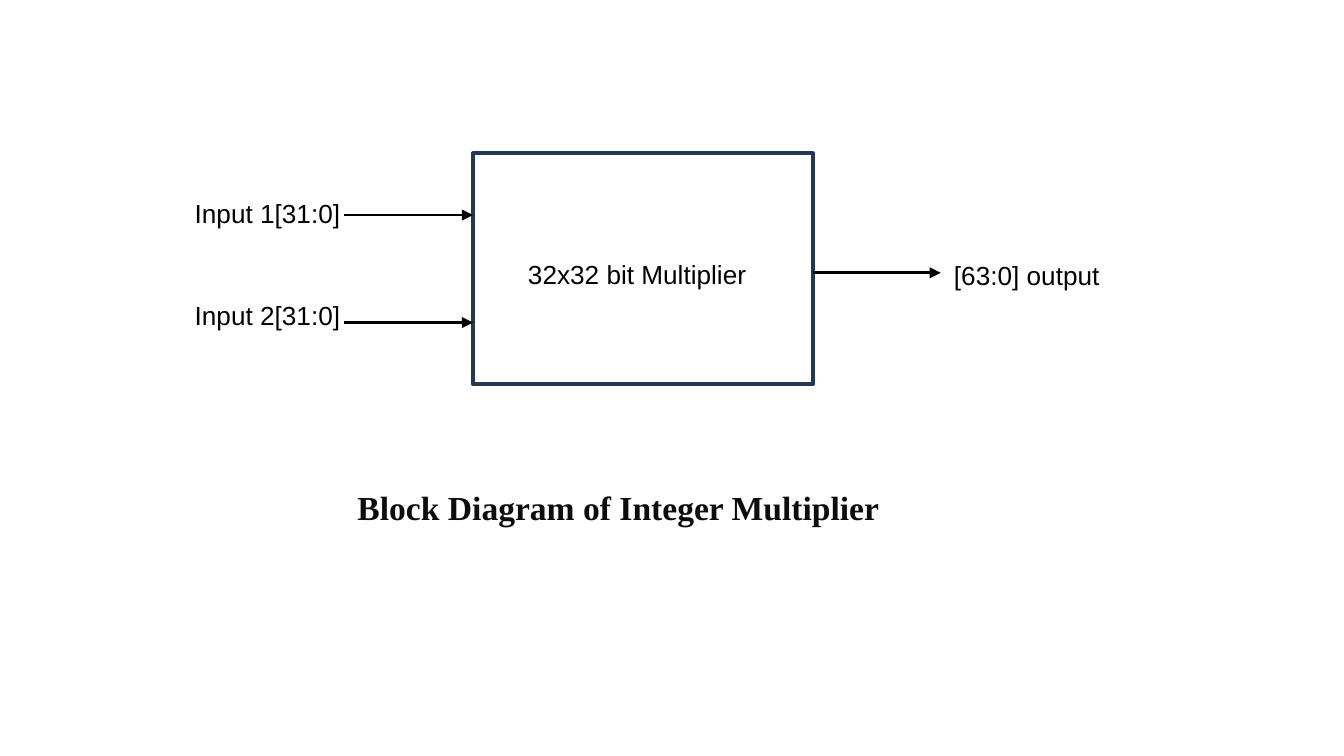
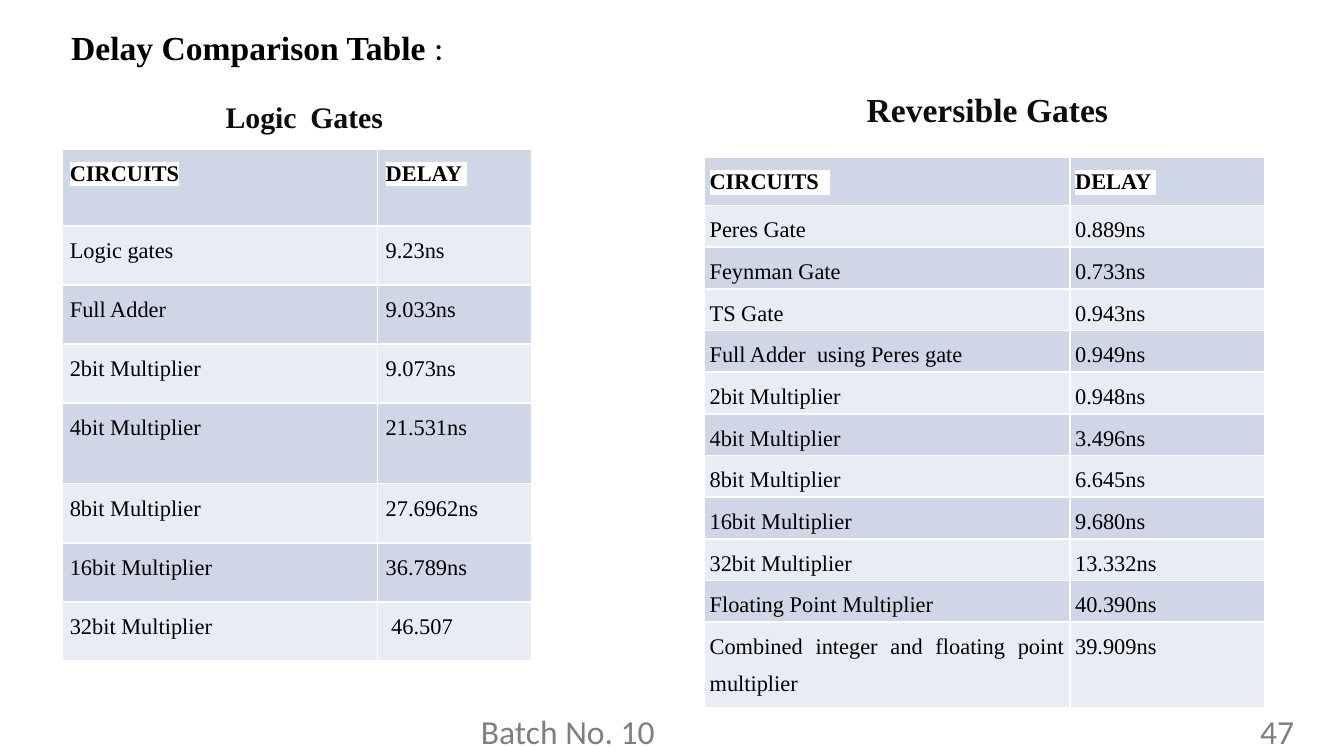
from pptx import Presentation
from pptx.dml.color import RGBColor
from pptx.enum.shapes import MSO_CONNECTOR, MSO_SHAPE
from pptx.enum.text import MSO_ANCHOR as Anchor, MSO_AUTO_SIZE as AutoSize, PP_ALIGN as Align
from pptx.oxml.ns import qn
from pptx.util import Emu, Inches, Pt
from lxml.etree import Element, SubElement

COLORS = {
    "black": "000000", "heading": "0D0D0D", "footer": "7F7F7F", "white": "FFFFFF",
    "block": "233953", "dark_band": "CFD7E7", "light_band": "E8ECF4",
}
SERIF = "Times New Roman"
TITLE_ONLY = 5
HEADING = dict(size=18, font=SERIF, color="heading", bold=True)
CELL = dict(size=12, font=SERIF, align=Align.JUSTIFY, line_spacing=1.5)

# Boxes are left, top, width, height in px, 100 px to the inch.
BLOCK = (352, 114, 253, 172)
ARROWS = [(256, 160, 352, 160), (256, 240, 352, 240), (605, 203, 700, 203)]
LABELS = [
    ("Input 1[31:0]", (135, 142, 159, 34)),
    ("Input 2[31:0]", (135, 218, 159, 34)),
    ("32x32 bit Multiplier", (383, 187, 191, 34)),
    ("[63:0] output", (700, 188, 176, 34)),
]
DIAGRAM_TITLE = ("Block Diagram of Integer Multiplier", (256, 357, 584, 64))

COMPARISON_TITLE = [("Delay Comparison Table ", {}), (":", dict(font="Calibri", bold=False))]
LOGIC_TABLE = dict(
    origin=(46, 111), columns=(235, 115), rows=[57, 44, 44, 44, 60, 44, 44, 44], inset=6,
    content=[
        ("CIRCUITS", "DELAY "),
        ("Logic gates", "9.23ns"),
        ("Full Adder", "9.033ns"),
        ("2bit Multiplier", "9.073ns"),
        ("4bit Multiplier", "21.531ns"),
        ("8bit Multiplier", "27.6962ns"),
        ("16bit Multiplier", "36.789ns"),
        ("32bit Multiplier", " 46.507"),
    ],
)
REVERSIBLE_TABLE = dict(
    origin=(524, 117), columns=(272, 145), rows=[36] + [31] * 10 + [64], inset=4,
    content=[
        ("CIRCUITS  ", "DELAY "),
        ("Peres Gate", "0.889ns"),
        ("Feynman Gate", "0.733ns"),
        ("TS Gate", "0.943ns"),
        ("Full Adder  using Peres gate", "0.949ns"),
        ("2bit Multiplier", "0.948ns"),
        ("4bit Multiplier", "3.496ns"),
        ("8bit Multiplier", "6.645ns"),
        ("16bit Multiplier", "9.680ns"),
        ("32bit Multiplier", "13.332ns"),
        ("Floating Point Multiplier", "40.390ns"),
        ("Combined integer and floating point multiplier", "39.909ns"),
    ],
)
FOOTER = ("\tBatch No. 10\t47", (269, 524, 718, 38))
FOOTER_TABS = [(79, "l"), (684, "r")]


def px(length):
    return Emu(length * 9144)


def rgb(name):
    return RGBColor.from_string(COLORS[name])


def format_run(run, size=14, font="Arial", color="black", bold=False, highlight=None):
    run.font.size, run.font.name, run.font.bold = Pt(size), font, bold
    run.font.color.rgb = rgb(color)
    if highlight:
        mark = Element(qn("a:highlight"))
        SubElement(mark, qn("a:srgbClr"), val=COLORS[highlight])
        run.font._element.find(qn("a:solidFill")).addnext(mark)


def write_text(frame, text, align=Align.LEFT, line_spacing=1.0, tabs=(), **style):
    """Fill the frame with a string, or with (string, style overrides) runs."""
    paragraph = frame.paragraphs[0]
    paragraph.alignment, paragraph.line_spacing = align, line_spacing
    if tabs:
        tab_list = SubElement(paragraph._p.get_or_add_pPr(), qn("a:tabLst"))
        for position, side in tabs:
            SubElement(tab_list, qn("a:tab"), pos=str(px(position)), algn=side)
    for words, overrides in [(text, {})] if isinstance(text, str) else text:
        run = paragraph.add_run()
        run.text = words
        format_run(run, **{**style, **overrides})


def set_frame(frame, insets=(10, 5), anchor=Anchor.TOP):
    frame.word_wrap, frame.auto_size = True, AutoSize.SHAPE_TO_FIT_TEXT
    frame.vertical_anchor = anchor
    frame.margin_left = frame.margin_right = px(insets[0])
    frame.margin_top = frame.margin_bottom = px(insets[1])


def add_text(slide, text, box, insets=(10, 5), anchor=Anchor.TOP, **style):
    frame = slide.shapes.add_textbox(*map(px, box)).text_frame
    set_frame(frame, insets, anchor)
    write_text(frame, text, **style)


def set_title(slide, text, box, insets=(10, 5), **style):
    title = slide.shapes.title
    title.left, title.top, title.width, title.height = map(px, box)
    set_frame(title.text_frame, insets)
    write_text(title.text_frame, text, **style)


def add_arrow(slide, ends):
    arrow = slide.shapes.add_connector(MSO_CONNECTOR.STRAIGHT, *map(px, ends))
    arrow.line.color.rgb, arrow.line.width = rgb("black"), Pt(1.5)
    SubElement(arrow.line._get_or_add_ln(), qn("a:tailEnd"), type="triangle")
    SubElement(arrow._element.spPr, qn("a:effectLst"))


def set_borders(cell):
    properties = cell._tc.get_or_add_tcPr()
    for index, side in enumerate("LRTB"):
        border = Element(qn(f"a:ln{side}"), w=str(Pt(1)))
        fill = SubElement(border, qn("a:solidFill"))
        SubElement(fill, qn("a:srgbClr"), val=COLORS["white"])
        properties.insert(index, border)


def add_delay_table(slide, origin, columns, rows, inset, content):
    size = (sum(columns), sum(rows))
    table = slide.shapes.add_table(len(rows), len(columns), *map(px, origin + size)).table
    for column, width in zip(table.columns, columns):
        column.width = px(width)
    for row_index, (row, height, texts) in enumerate(zip(table.rows, rows, content)):
        row.height = px(height)
        header = row_index == 0
        for cell, text in zip(row.cells, texts):
            cell.margin_left = cell.margin_right = px(inset)
            cell.margin_top = cell.margin_bottom = 0
            cell.fill.solid()
            cell.fill.fore_color.rgb = rgb("light_band" if row_index % 2 else "dark_band")
            set_borders(cell)
            write_text(cell.text_frame, text, bold=header,
                       highlight="white" if header else None, **CELL)


def build_diagram_slide(slide):
    block = slide.shapes.add_shape(MSO_SHAPE.RECTANGLE, *map(px, BLOCK))
    block.shadow.inherit = False
    block.fill.background()
    block.line.color.rgb, block.line.width = rgb("block"), Pt(2)
    for ends in ARROWS:
        add_arrow(slide, ends)
    for text, box in LABELS:
        add_text(slide, text, box)
    set_title(slide, *DIAGRAM_TITLE, highlight="white", **HEADING)


def build_comparison_slide(slide):
    set_title(slide, COMPARISON_TITLE, (53, 19, 328, 32), insets=(0, 1),
              **{**HEADING, "color": "black"})
    add_delay_table(slide, **LOGIC_TABLE)
    add_text(slide, [("Logic Gates", {}), (" ", dict(size=14))], (158, 70, 137, 34),
             anchor=Anchor.MIDDLE, align=Align.JUSTIFY, **{**HEADING, "size": 16})
    add_delay_table(slide, **REVERSIBLE_TABLE)
    add_text(slide, "Reversible Gates", (635, 56, 328, 50), insets=(10, 10),
             highlight="white", **HEADING)
    add_text(slide, *FOOTER, tabs=FOOTER_TABS, size=18, font="Calibri", color="footer")


def main():
    presentation = Presentation()
    presentation.slide_width, presentation.slide_height = Inches(10), Inches(5.625)
    layout = presentation.slide_layouts[TITLE_ONLY]
    for build in (build_diagram_slide, build_comparison_slide):
        build(presentation.slides.add_slide(layout))
    presentation.save("out.pptx")


if __name__ == "__main__":
    main()
